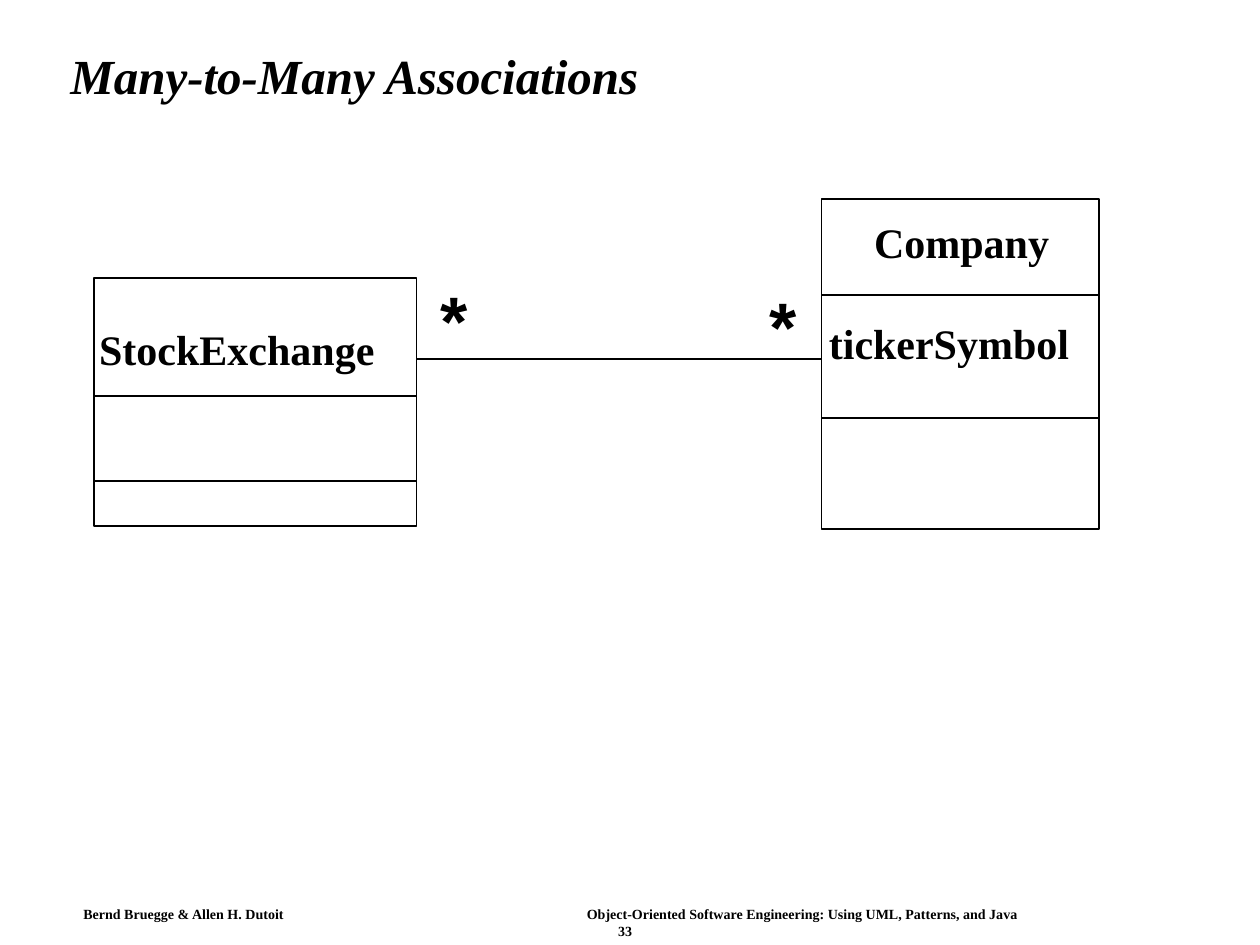
from lxml import etree
from pptx import Presentation
from pptx.dml.color import RGBColor
from pptx.enum.shapes import MSO_CONNECTOR, MSO_SHAPE
from pptx.enum.text import MSO_ANCHOR, PP_ALIGN
from pptx.oxml.ns import qn
from pptx.util import Cm, Pt

RECTANGLE = MSO_SHAPE.RECTANGLE
STRAIGHT = MSO_CONNECTOR.STRAIGHT
MIDDLE, TOP = MSO_ANCHOR.MIDDLE, MSO_ANCHOR.TOP
LEFT, CENTER = PP_ALIGN.LEFT, PP_ALIGN.CENTER
COLORS = {"ink": "000000", "paper": "FFFFFF"}
SERIF, SANS = "Times New Roman", "Arial"

# Content; every length is in centimetres
TITLE = "Many-to-Many Associations"
FOOTER = "Bernd Bruegge & Allen H. Dutoit\tObject-Oriented Software Engineering: Using UML, Patterns, and Java"
PAGE = "33"
FOOTER_TAB = 10.15

# Class boxes: left, top, width, height, and the heights of their dividers
CLASSES = {
    "exchange": ((1.9, 5.61, 6.5, 5.0), (7.98, 9.7)),
    "company": ((16.56, 4.01, 5.59, 6.65), (5.94, 8.43)),
}
# Text, left, top, width, height, size, font
LABELS = [
    ("StockExchange", (1.75, 6.4, 6.05, 1.27), 24, SERIF),
    ("Company", (17.37, 4.24, 4.04, 1.27), 24, SERIF),
    ("tickerSymbol", (16.46, 6.27, 5.36, 1.27), 24, SERIF),
    ("*", (15.27, 5.56, 1.04, 1.93), 40, SANS),
    ("*", (8.64, 5.44, 1.04, 1.93), 40, SANS),
]
ASSOCIATION_Y = 7.24


def color(name):
    return RGBColor.from_string(COLORS[name])


def add_text(slide, box, lines, size, font=SERIF, italic=False, wrap=False,
             anchor=TOP, spacing=None, margins=(0.25, 0.13)):
    """Place bold lines, given as (text, alignment), in a text box."""
    frame = slide.shapes.add_textbox(*map(Cm, box)).text_frame
    frame.word_wrap = wrap
    frame.vertical_anchor = anchor
    frame.margin_left = frame.margin_right = Cm(margins[0])
    frame.margin_top = frame.margin_bottom = Cm(margins[1])
    for index, (text, alignment) in enumerate(lines):
        paragraph = frame.add_paragraph() if index else frame.paragraphs[0]
        paragraph.alignment = alignment
        paragraph.line_spacing = spacing
        run = paragraph.add_run()
        run.text = text
        run.font.name, run.font.size = font, Pt(size)
        run.font.bold, run.font.italic = True, italic
        run.font.color.rgb = color("ink")
    return frame


def add_rule(slide, x1, x2, y):
    rule = slide.shapes.add_connector(STRAIGHT, Cm(x1), Cm(y), Cm(x2), Cm(y))
    rule.line.color.rgb = color("ink")
    rule.line.width = Pt(1)
    etree.SubElement(rule._element.spPr, qn("a:effectLst"))


def add_class(slide, box, dividers):
    outline = slide.shapes.add_shape(RECTANGLE, *map(Cm, box))
    outline.shadow.inherit = False
    outline.fill.background()
    outline.line.color.rgb = color("ink")
    outline.line.width = Pt(1)
    for y in dividers:
        add_rule(slide, box[0], box[0] + box[2], y)


def add_tab(paragraph, position):
    tabs = etree.SubElement(paragraph._p.get_or_add_pPr(), qn("a:tabLst"))
    etree.SubElement(tabs, qn("a:tab"), pos=str(Cm(position)), algn="l")


def main():
    prs = Presentation()
    prs.slide_width, prs.slide_height = Cm(25.4), Cm(19.05)
    slide = prs.slides.add_slide(prs.slide_layouts[6])
    slide.background.fill.solid()
    slide.background.fill.fore_color.rgb = color("paper")

    # Footer: authors and book title on one line, page number below
    footer = add_text(slide, (1.48, 18.16, 22.25, 0.88),
                      [(FOOTER, LEFT), (PAGE, CENTER)], 8,
                      wrap=True, margins=(0.2, 0.1))
    add_tab(footer.paragraphs[0], FOOTER_TAB)

    # Title
    add_text(slide, (1.17, 0.61, 22.66, 1.96), [(TITLE, LEFT)], 28,
             italic=True, wrap=True, anchor=MIDDLE, spacing=0.9)

    # Class diagram
    for box, dividers in CLASSES.values():
        add_class(slide, box, dividers)
    exchange, company = (box for box, _ in CLASSES.values())
    add_rule(slide, exchange[0] + exchange[2], company[0], ASSOCIATION_Y)
    for text, box, size, font in LABELS:
        add_text(slide, box, [(text, LEFT)], size, font)

    prs.save("out.pptx")


if __name__ == "__main__":
    main()
